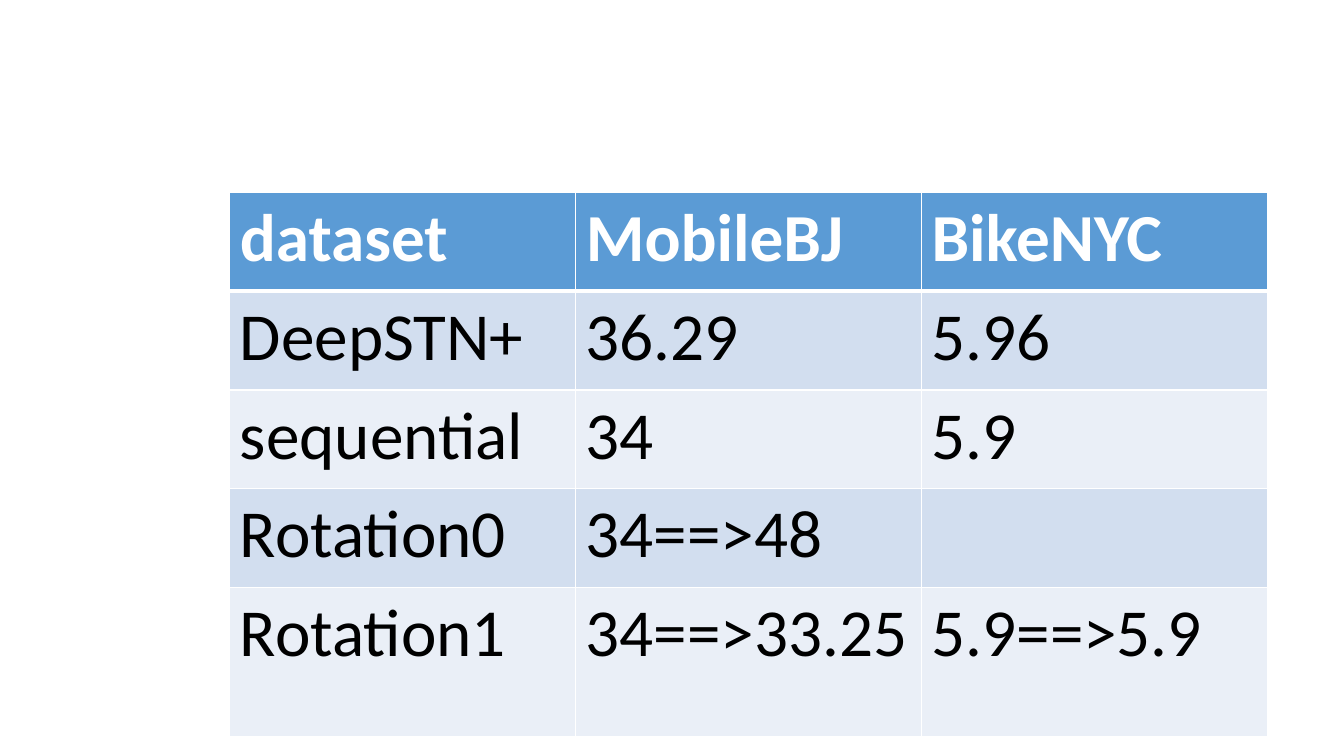
from dataclasses import dataclass

from lxml.etree import SubElement
from pptx import Presentation
from pptx.dml.color import RGBColor
from pptx.oxml.ns import qn
from pptx.util import Inches, Pt


@dataclass(frozen=True)
class Theme:
    """Colours, type and line widths of the slide."""
    font: str = "Calibri"
    size: int = 48
    header_fill: str = "5B9BD5"
    band_fills: tuple = ("D2DEEF", "EAEFF7")
    header_text: str = "FFFFFF"
    body_text: str = "000000"
    border: str = "FFFFFF"
    thin: int = 1
    thick: int = 3


THEME = Theme()
RESULTS = [
    ("dataset", "MobileBJ", "BikeNYC"),
    ("DeepSTN+", "36.29", "5.96"),
    ("sequential", "34", "5.9"),
    ("Rotation0", "34==>48", ""),
    ("Rotation1", "34==>33.25", "5.9==>5.9"),
]
COLUMN_WIDTH = 3.43
ROW_HEIGHTS = (0.98, 0.98, 0.98, 0.98, 1.48)


def write_text(cell, text, *, color, bold=False):
    """Put one formatted span of text into a cell."""
    span = cell.text_frame.paragraphs[0].add_run()
    span.text = text
    span.font.name = THEME.font
    span.font.size = Pt(THEME.size)
    span.font.bold = bold
    span.font.color.rgb = RGBColor.from_string(color)


def draw_borders(cell, *, top, bottom):
    """Draw the four cell borders, with thin lines at the sides."""
    properties = cell._tc.get_or_add_tcPr()
    widths = {"L": THEME.thin, "R": THEME.thin, "T": top, "B": bottom}
    for side, width in widths.items():
        line = SubElement(properties, qn(f"a:ln{side}"), w=str(Pt(width)))
        fill = SubElement(line, qn("a:solidFill"))
        SubElement(fill, qn("a:srgbClr"), val=THEME.border)


def fill_cell(cell, color):
    """Give a cell a solid fill."""
    cell.fill.solid()
    cell.fill.fore_color.rgb = RGBColor.from_string(color)


def format_cell(cell, text, row):
    """Style a cell as header or banded body and write its text."""
    header = row == 0
    draw_borders(
        cell,
        top=THEME.thick if row == 1 else THEME.thin,
        bottom=THEME.thick if header else THEME.thin,
    )
    bands = THEME.band_fills
    fill_cell(cell, THEME.header_fill if header else bands[(row - 1) % len(bands)])
    if text:
        color = THEME.header_text if header else THEME.body_text
        write_text(cell, text, color=color, bold=header)


def add_results_table(page, left, top):
    """Add the table of results for each dataset."""
    columns = len(RESULTS[0])
    frame = page.shapes.add_table(
        len(RESULTS), columns, Inches(left), Inches(top),
        Inches(COLUMN_WIDTH * columns), Inches(sum(ROW_HEIGHTS)),
    )
    table = frame.table
    for column in table.columns:
        column.width = Inches(COLUMN_WIDTH)
    for row, (values, height) in enumerate(zip(RESULTS, ROW_HEIGHTS)):
        table.rows[row].height = Inches(height)
        for column, text in enumerate(values):
            format_cell(table.cell(row, column), text, row)


def main():
    """Build the slide and save the deck."""
    deck = Presentation()
    deck.slide_width = Inches(13.33)
    deck.slide_height = Inches(7.5)
    page = deck.slides.add_slide(deck.slide_layouts[6])
    add_results_table(page, 2.28, 1.91)
    deck.save("out.pptx")


main()
